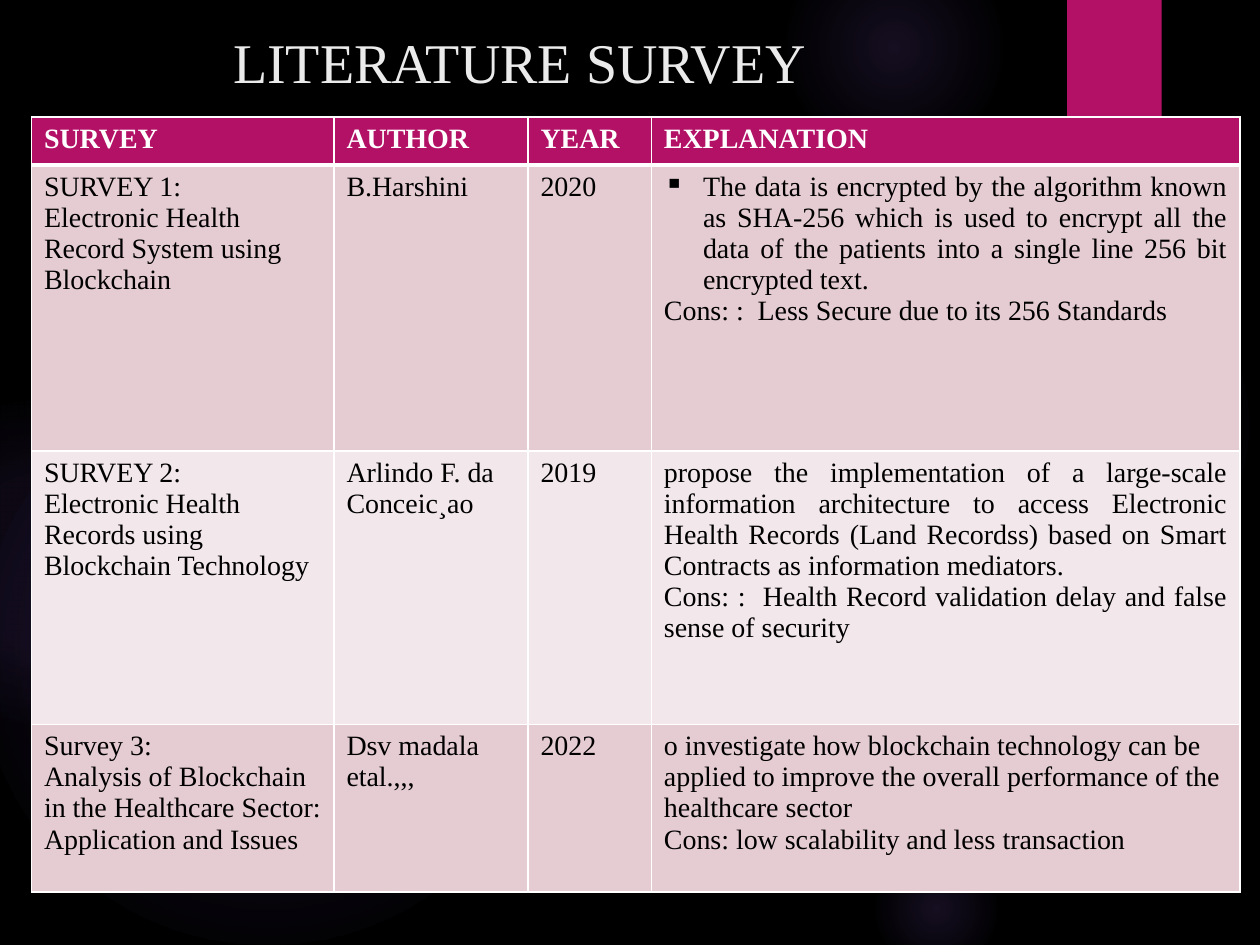
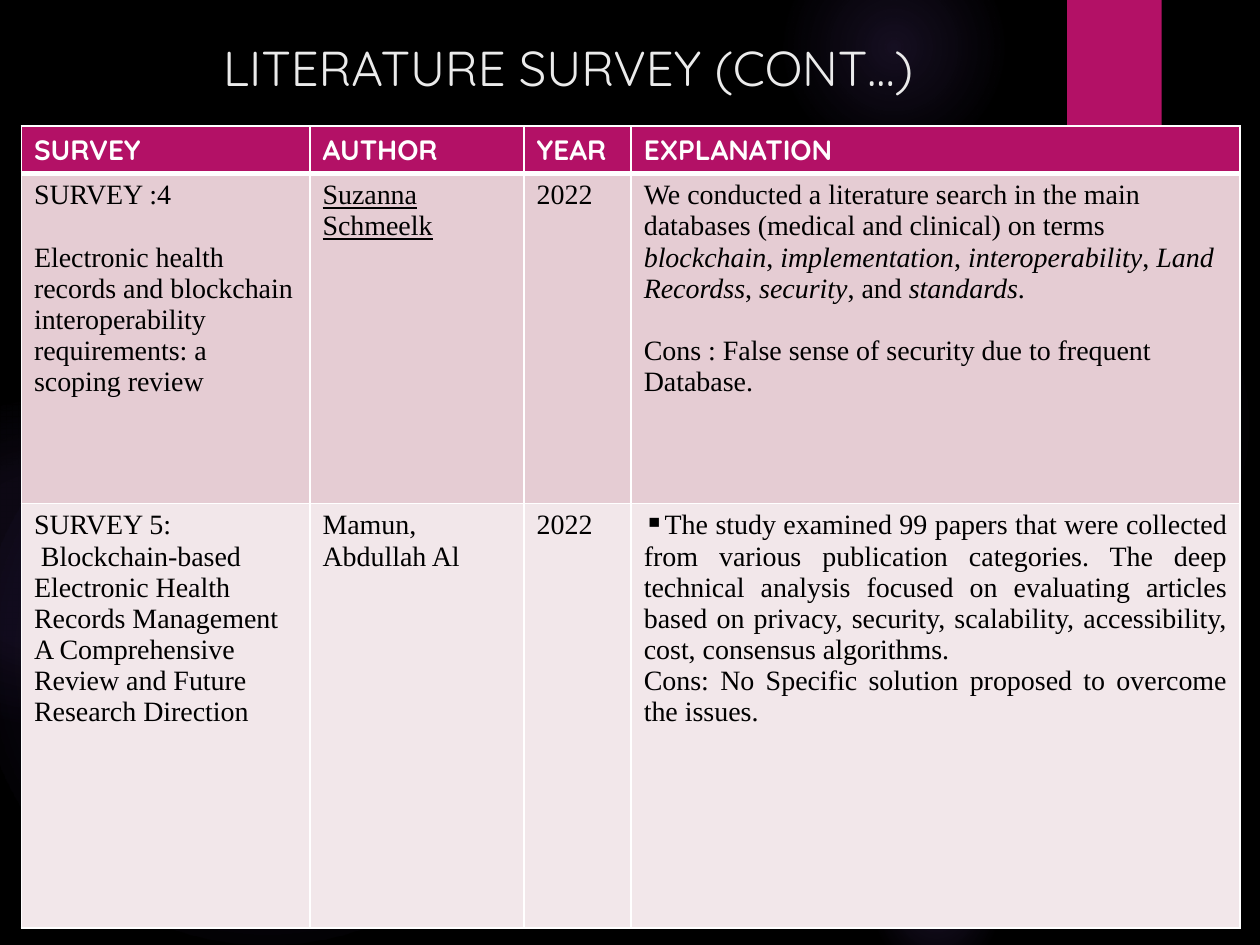
"""Builds the two literature survey slides."""
from dataclasses import dataclass

from lxml.etree import SubElement
from pptx import Presentation
from pptx.dml.color import RGBColor
from pptx.enum.shapes import MSO_SHAPE as Preset
from pptx.enum.text import MSO_ANCHOR as Anchor, MSO_AUTO_SIZE as AutoSize, PP_ALIGN as Align
from pptx.oxml import parse_xml
from pptx.oxml.ns import nsdecls, qn
from pptx.util import Inches, Pt

SERIF, SANS = "Times New Roman", "Quicksand"
HEADINGS = ["SURVEY", "AUTHOR", "YEAR", "EXPLANATION"]
GLOWS = [
    (6.89, 1.83, 3.08, [(0, 7), (36, 6), (69, 0)]),
    (6.22, -0.5, 1.75, [(0, 14), (36, 7), (73, 0)]),
    (6.89, 6.67, 1.08, [(0, 14), (36, 7), (66, 0)]),
    (-0.17, 2.92, 4.58, [(0, 11), (36, 10), (75, 0)]),
    (-0.92, 3.17, 2.58, [(0, 8), (36, 8), (72, 0)]),
]


def rgb(color):
    return RGBColor.from_string(color)


@dataclass
class Para:
    runs: list
    justified: bool = False
    bulleted: bool = False
    hanging: float = 0
    gap: float = 0


def just(text, **options):
    return Para([(text, "")], justified=True, **options)


def plain(text, mark="", **options):
    return Para([(text, mark)], **options)


class Deck:
    accent, glow_color, title_color = "B31166", "9B6BF2", "EBEBEB"
    white, black, bands = "FFFFFF", "000000", ["E5CCD3", "F2E7EA"]
    text_size = 16

    def __init__(self):
        self.prs = Presentation()
        self.prs.slide_width, self.prs.slide_height = Inches(10), Inches(7.5)
        backdrop = self.prs.slide_master.background.fill
        backdrop.solid()
        backdrop.fore_color.rgb = rgb(self.black)
        self.slide = None

    def new_slide(self):
        self.slide = self.prs.slides.add_slide(self.prs.slide_layouts[5])
        for glow in GLOWS:
            self.glow(*glow)
        ribbon = self.shape(Preset.RECTANGLE, 8.47, 0, 0.75, 1.2)
        ribbon.fill.solid()
        ribbon.fill.fore_color.rgb = rgb(self.accent)

    def shape(self, preset, left, top, width, height):
        shape = self.slide.shapes.add_shape(
            preset, Inches(left), Inches(top), Inches(width), Inches(height))
        shape.line.fill.background()
        shape.shadow.inherit = False
        return shape

    def glow(self, left, top, size, stops):
        ellipse = self.shape(Preset.OVAL, left, top, size, size)
        stop_list = "".join(
            f'<a:gs pos="{pos * 1000}"><a:srgbClr val="{self.glow_color}">'
            f'<a:alpha val="{alpha * 1000}"/></a:srgbClr></a:gs>'
            for pos, alpha in stops)
        gradient = parse_xml(
            f'<a:gradFill {nsdecls("a")} rotWithShape="1"><a:gsLst>{stop_list}</a:gsLst>'
            '<a:path path="circle"><a:fillToRect l="50000" t="50000" r="50000" b="50000"/>'
            '</a:path></a:gradFill>')
        ellipse._element.spPr.find(qn("a:prstGeom")).addnext(gradient)

    def title(self, text, left, top, height, size, font):
        title = self.slide.shapes.title
        title.left, title.top = Inches(left), Inches(top)
        title.width, title.height = Inches(7.72), Inches(height)
        frame = title.text_frame
        frame.word_wrap = True
        frame.auto_size = AutoSize.NONE
        frame.vertical_anchor = Anchor.TOP
        heading = frame.paragraphs[0]
        heading.alignment = Align.JUSTIFY
        self.run(heading, text, size, font, self.title_color)
        self.slide.shapes._spTree.append(title._element)

    def run(self, paragraph, text, size, font, color, mark=""):
        run = paragraph.add_run()
        run.text = text
        run.font.size, run.font.name = Pt(size), font
        run.font.color.rgb = rgb(color)
        run.font.bold = "b" in mark
        run.font.italic = "i" in mark
        run.font.underline = "u" in mark

    def cell(self, cell, paras, fill, font, color, borders):
        properties = cell._tc.get_or_add_tcPr()
        for side, points in zip("LRTB", borders):
            line = SubElement(properties, qn(f"a:ln{side}"), w=str(Pt(points)))
            solid = SubElement(line, qn("a:solidFill"))
            SubElement(solid, qn("a:srgbClr"), val=self.white)
        cell.fill.solid()
        cell.fill.fore_color.rgb = rgb(fill)
        frame = cell.text_frame
        for index, para in enumerate(paras):
            paragraph = frame.add_paragraph() if index else frame.paragraphs[0]
            paragraph.alignment = Align.JUSTIFY if para.justified else Align.LEFT
            if para.gap:
                paragraph.space_before = Pt(para.gap)
            if para.bulleted:
                settings = paragraph._p.get_or_add_pPr()
                settings.set("marL", str(Inches(para.hanging)))
                settings.set("indent", str(-Inches(para.hanging)))
                SubElement(settings, qn("a:buChar"), char="▪")
            for text, mark in para.runs:
                self.run(paragraph, text, self.text_size, font, color, mark)

    def table(self, left, top, widths, heights, heading_font, surveys):
        table = self.slide.shapes.add_table(
            len(heights), len(widths), Inches(left), Inches(top),
            Inches(sum(widths)), Inches(sum(heights))).table
        for column, width in zip(table.columns, widths):
            column.width = Inches(width)
        for row, height in zip(table.rows, heights):
            row.height = Inches(height)
        for col, heading in enumerate(HEADINGS):
            self.cell(table.cell(0, col), [plain(heading, "b")], self.accent,
                      heading_font, self.white, (1, 1, 1, 3))
        for row, survey in enumerate(surveys, 1):
            borders = (1, 1, 3 if row == 1 else 1, 1)
            for col, paras in enumerate(survey):
                self.cell(table.cell(row, col), paras, self.bands[(row - 1) % 2],
                          SERIF, self.black, borders)


def search_terms():
    runs = [("We conducted a literature search in the main databases "
             "(medical and clinical) on terms ", "")]
    terms = ["blockchain", "implementation", "interoperability", "Land Recordss", "security"]
    for term in terms:
        runs += [(term, "i"), (", and " if term == terms[-1] else ", ", "")]
    return Para(runs + [("standards", "i"), (".", "")])


def main():
    deck = Deck()

    deck.new_slide()
    deck.title("LITERATURE SURVEY", 1.75, 0.17, 1.86, 32, SERIF)
    deck.table(0.25, 0.93, [2.4, 1.54, 0.98, 4.67], [0.38, 2.27, 2.17, 1.33], SERIF, [
        [[plain("SURVEY 1:"), plain("Electronic Health Record System using Blockchain")],
         [plain("B.Harshini")],
         [plain("2020")],
         [just("The data is encrypted by the algorithm known as SHA-256 which is used to "
               "encrypt all the data of the patients into a single line 256 bit encrypted "
               "text.", bulleted=True, hanging=0.31),
          just("Cons: :  Less Secure due to its 256 Standards")]],
        [[plain("SURVEY 2:"), plain("Electronic Health Records using Blockchain Technology")],
         [plain("Arlindo F. da Conceic¸ao")],
         [plain("2019")],
         [just("propose the implementation of a large-scale information architecture to "
               "access Electronic Health Records (Land Recordss) based on Smart Contracts "
               "as information mediators."),
          just("Cons: :  Health Record validation delay and false sense of security")]],
        [[plain("Survey 3:"),
          plain("Analysis of Blockchain in the Healthcare Sector: Application and Issues")],
         [plain("Dsv madala"), plain("etal.,,,")],
         [plain("2022")],
         [plain("o investigate how blockchain technology can be applied to improve the "
                "overall performance of the healthcare sector"),
          plain("Cons: low scalability and less transaction")]],
    ])

    deck.new_slide()
    deck.title("LITERATURE SURVEY (CONT…)", 1.67, 0.25, 0.94, 28, SANS)
    deck.table(0.17, 1, [2.29, 1.7, 0.85, 4.83], [0.35, 2.62, 3.37], SANS, [
        [[plain("SURVEY :4"),
          plain("Electronic health records and blockchain interoperability requirements: "
                "a scoping review", gap=18)],
         [plain("Suzanna Schmeelk", "u")],
         [plain("2022")],
         [search_terms(),
          plain("Cons : False sense of security due to frequent Database.", gap=18)]],
        [[plain("SURVEY 5:"),
          plain(" Blockchain-based Electronic Health Records Management A Comprehensive "
                "Review and Future Research Direction")],
         [plain("Mamun, Abdullah Al")],
         [plain("2022")],
         [just("The study examined 99 papers that were collected from various publication "
               "categories. The deep technical analysis focused on evaluating articles "
               "based on privacy, security, scalability, accessibility, cost, consensus "
               "algorithms.", bulleted=True),
          just("Cons: No Specific solution proposed to overcome the issues.")]],
    ])

    deck.prs.save("out.pptx")


if __name__ == "__main__":
    main()
